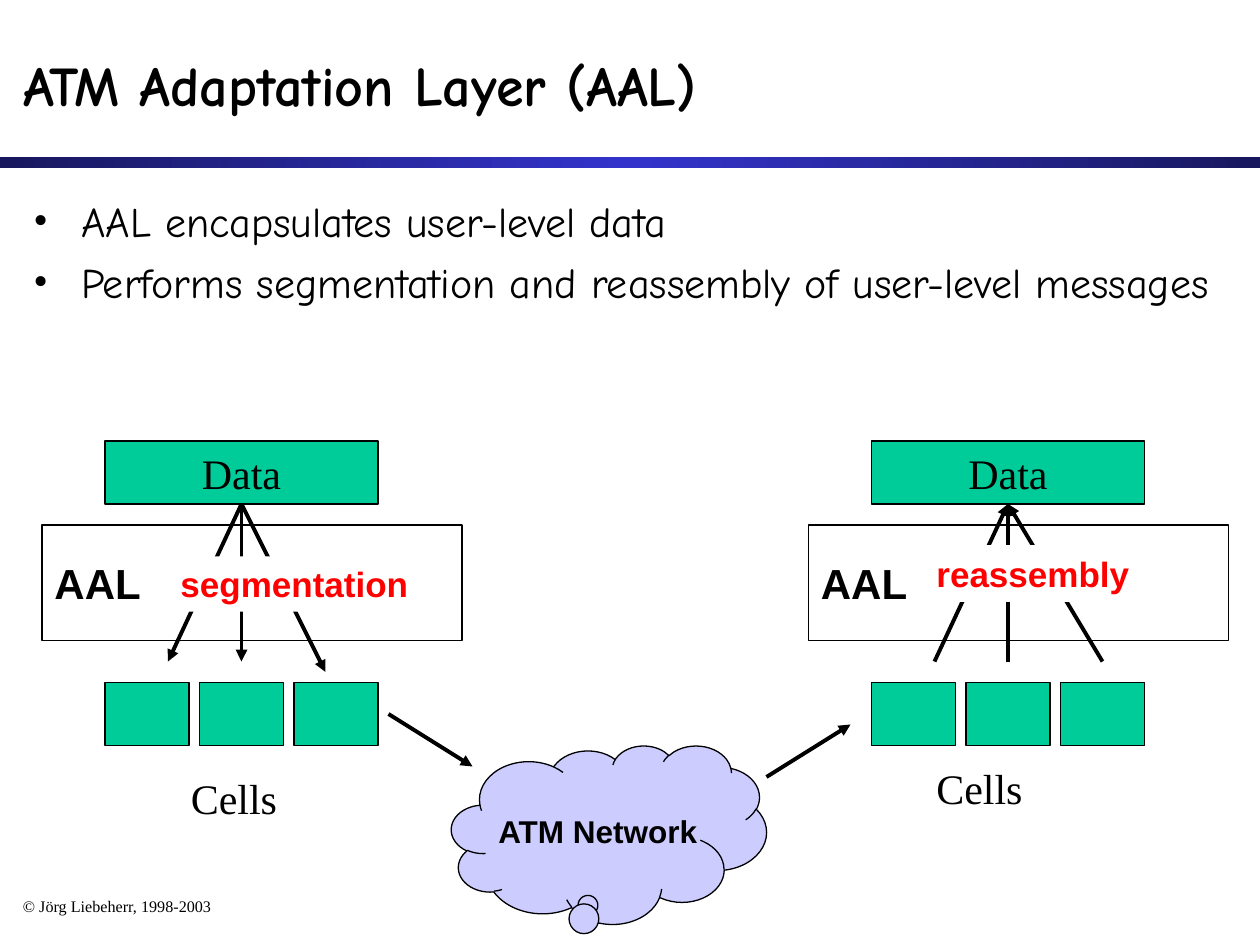
from lxml.etree import SubElement
from pptx import Presentation
from pptx.dml.color import RGBColor
from pptx.enum.shapes import MSO_CONNECTOR, MSO_SHAPE
from pptx.enum.text import MSO_ANCHOR, PP_ALIGN
from pptx.oxml.ns import qn
from pptx.util import Inches, Pt

BLACK = RGBColor(0x00, 0x00, 0x00)
WHITE = RGBColor(0xFF, 0xFF, 0xFF)
RED = RGBColor(0xFF, 0x00, 0x00)
GREEN = RGBColor(0x00, 0xCC, 0x99)
LAVENDER = RGBColor(0xCC, 0xCC, 0xFF)
BLUE = RGBColor(0x33, 0x33, 0xCC)
NAVY = RGBColor(0x18, 0x18, 0x5E)
HAND, SERIF, SANS = "Comic Neue", "Times New Roman", "Arial"

deck = Presentation()
deck.slide_width, deck.slide_height = Inches(10), Inches(7.5)
slide = deck.slides.add_slide(deck.slide_layouts[5])
UNIT = deck.slide_width // 120  # grid of 120 columns by 90 rows


def add_box(place, text="", font=SERIF, size=24, color=BLACK, bold=False, fill=None,
            line=None, align=PP_ALIGN.LEFT, anchor=MSO_ANCHOR.MIDDLE, wrap=False,
            kind=MSO_SHAPE.RECTANGLE):
    """Add a shape at (column, row, columns, rows) with optional text."""
    box = slide.shapes.add_shape(kind, *[int(value * UNIT) for value in place])
    box.shadow.inherit = False
    if fill is None:
        box.fill.background()
    else:
        box.fill.solid()
        box.fill.fore_color.rgb = fill
    if line is None:
        box.line.fill.background()
    else:
        box.line.color.rgb = line
        box.line.width = Pt(0.75)
    frame = box.text_frame
    frame.word_wrap, frame.vertical_anchor = wrap, anchor
    frame.text = text
    for para in frame.paragraphs:
        para.alignment = align
        for span in para.runs:
            span.font.name, span.font.size, span.font.bold = font, Pt(size), bold
            span.font.color.rgb = color
    return box


def add_arrow(start, end, arrow_end="tailEnd"):
    """Connect two (column, row) points, with a triangle at one end."""
    points = [int(value * UNIT) for value in (*start, *end)]
    arrow = slide.shapes.add_connector(MSO_CONNECTOR.STRAIGHT, *points)
    arrow.line.color.rgb = BLACK
    arrow.line.width = Pt(2.25)
    SubElement(arrow.line._get_or_add_ln(), qn("a:" + arrow_end), type="triangle")
    SubElement(arrow._element.spPr, qn("a:effectLst"))


# Rule under the title, and copyright line
rule = add_box((0, 15, 120, 1))
rule.fill.gradient()
rule.fill.gradient_angle = 0
stops = rule.fill._fill._gradFill.find(qn("a:gsLst"))
for stop in list(stops):
    stops.remove(stop)
for position, color in ((0, NAVY), (50000, BLUE), (100000, NAVY)):
    stop = SubElement(stops, qn("a:gs"), pos=str(position))
    SubElement(stop, qn("a:srgbClr"), val=str(color))
footer = add_box((1, 85, 34, 3), "© Jörg Liebeherr, 1998-2003", size=9.2,
                 anchor=MSO_ANCHOR.TOP, wrap=True)
footer.text_frame.paragraphs[0].line_spacing = 0.9

# Title
title = slide.shapes.title
title.left, title.top, title.width, title.height = UNIT, 2 * UNIT, 118 * UNIT, 12 * UNIT
title.text_frame.text = "ATM Adaptation Layer (AAL)"
title.text_frame.vertical_anchor = MSO_ANCHOR.MIDDLE
para = title.text_frame.paragraphs[0]
para.alignment = PP_ALIGN.LEFT
font = para.runs[0].font
font.name, font.size, font.bold = HAND, Pt(32), True
font.color.rgb = BLACK

# Bullets
bullets = add_box((2, 18, 117, 64),
                  "AAL encapsulates user-level data\n"
                  "Performs segmentation and reassembly of user-level messages",
                  font=HAND, anchor=MSO_ANCHOR.TOP, wrap=True)
for index, para in enumerate(bullets.text_frame.paragraphs):
    properties = para._p.get_or_add_pPr()
    properties.set("marL", str(Inches(0.38)))
    properties.set("indent", str(-Inches(0.38)))
    para.space_before = Pt(6 if index else 0)
    SubElement(properties, qn("a:buFont"), typeface=SERIF)
    SubElement(properties, qn("a:buChar"), char="•")

# Sender and receiver: data, adaptation layer, cells, arrows between them
sides = (
    (4, "tailEnd", ((16, 63), (23, 63), (31, 64))),
    (77, "headEnd", ((89, 63), (96, 63), (105, 63))),
)
for left, arrow_end, targets in sides:
    add_box((left + 6, 42, 26, 6), "Data", fill=GREEN, line=BLACK, align=PP_ALIGN.CENTER)
    add_box((left, 50, 40, 11), "AAL", font=SANS, bold=True, line=BLACK)
    for cell in range(3):
        add_box((left + 6 + 9 * cell, 65, 8, 6), fill=GREEN, line=BLACK)
    for target in targets:
        add_arrow((left + 19, 48), target, arrow_end)

# Network cloud and its arrows
cloud = add_box((43, 71, 30, 17), "ATM Network", font=SANS, size=18, bold=True,
                fill=LAVENDER, line=BLACK, align=PP_ALIGN.CENTER,
                kind=MSO_SHAPE.CLOUD_CALLOUT)
cloud.adjustments[0], cloud.adjustments[1] = -0.063, 0.374
add_arrow((37, 68), (45, 73))
add_arrow((73, 74), (81, 69))

# Captions and the labels laid over the arrows
for column, row in ((17, 73), (88, 72)):
    add_box((column, row, 18, 6), "Cells", anchor=MSO_ANCHOR.TOP, wrap=True)
for column, row, label, edge in ((16, 53, "segmentation", None),
                                 (88, 52, "reassembly", WHITE)):
    add_box((column, row, 27, 5.25), label, font=SANS, size=20, color=RED, bold=True,
            fill=WHITE, line=edge, anchor=MSO_ANCHOR.TOP, wrap=True)

deck.save("out.pptx")
